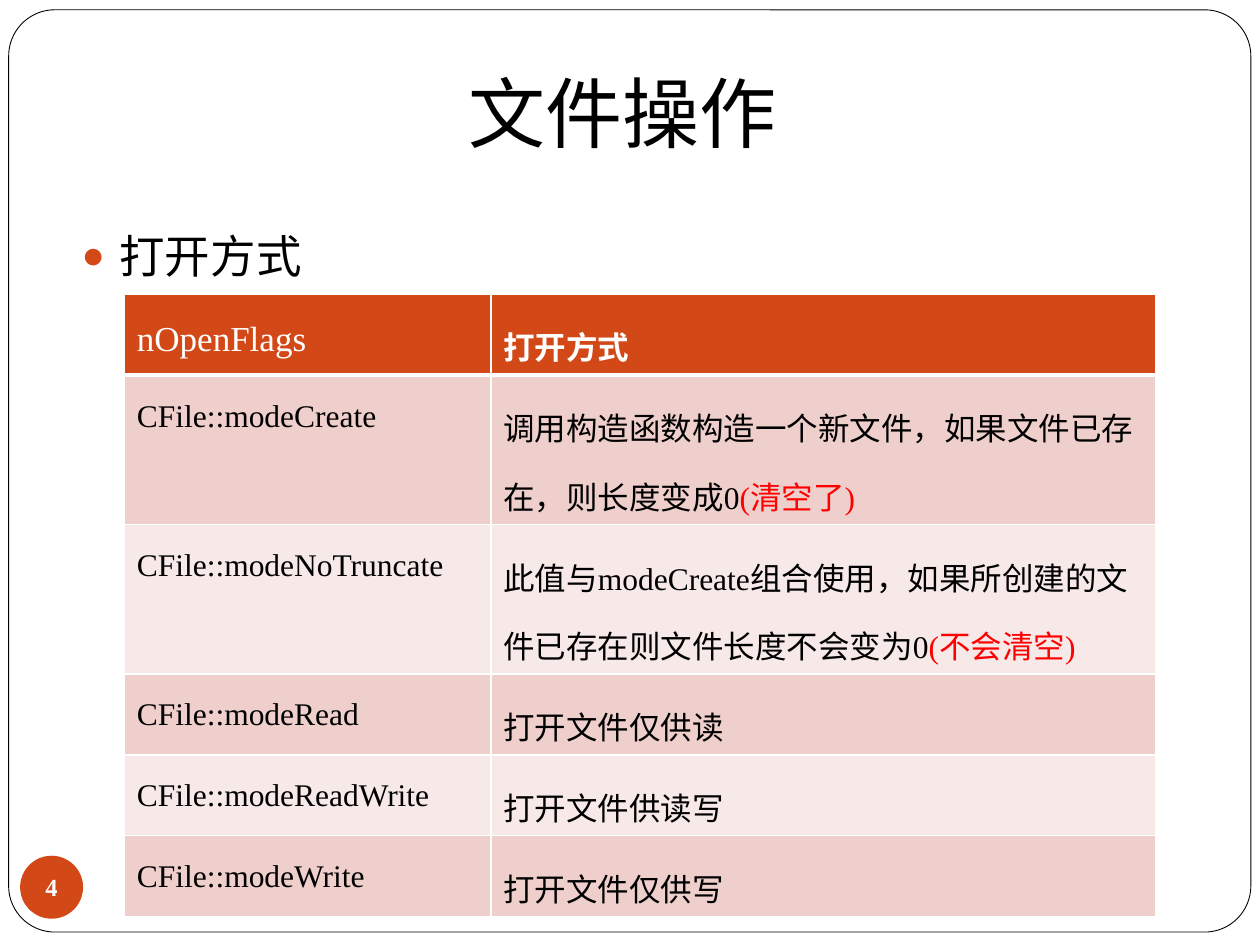
from lxml.etree import SubElement
from pptx import Presentation
from pptx.dml.color import RGBColor
from pptx.enum.shapes import MSO_SHAPE
from pptx.enum.text import MSO_ANCHOR, PP_ALIGN
from pptx.oxml import parse_xml
from pptx.oxml.ns import nsdecls, qn
from pptx.util import Pt

ACCENT, WHITE, BLACK, RED = "D34817", "FFFFFF", "000000", "FF0000"
SERIF, CHINESE = "Times New Roman", "Noto Sans CJK SC"


def color(value):
    return RGBColor.from_string(value)


def add_run(paragraph, text, size, latin, text_color, bold=False):
    run = paragraph.add_run()
    run.text = text
    for name, value in {"size": Pt(size), "name": latin, "bold": bold}.items():
        setattr(run.font, name, value)
    run.font.color.rgb = color(text_color)
    SubElement(run.font._element, qn("a:ea"), typeface=CHINESE)


presentation = Presentation()
presentation.slide_width, presentation.slide_height = Pt(720), Pt(540)
slide = presentation.slides.add_slide(presentation.slide_layouts[5])
shapes = slide.shapes

# Rounded frame around the slide
frame = shapes.add_shape(MSO_SHAPE.ROUNDED_RECTANGLE, Pt(5), Pt(5.6), Pt(709.8), Pt(527))
frame.adjustments[0] = 0.05
frame.shadow.inherit = False
frame.fill.solid()
frame.fill.fore_color.rgb = color(WHITE)
frame.line.color.rgb = color(BLACK)
frame.line.width = Pt(0.5)

# Bullet heading
body = shapes.add_textbox(Pt(39.6), Pt(111.2), Pt(663), Pt(357))
body.text_frame.word_wrap = True
paragraph = body.text_frame.paragraphs[0]
paragraph.line_spacing = 1.5
paragraph.space_before = Pt(5.8)
properties = paragraph._p.get_or_add_pPr()
properties.set("marL", str(Pt(21.6)))
properties.set("indent", str(Pt(-21.6)))
bullet_color = SubElement(properties, qn("a:buClr"))
SubElement(bullet_color, qn("a:srgbClr"), val=ACCENT)
SubElement(properties, qn("a:buSzPct"), val="85000")
SubElement(properties, qn("a:buFont"), typeface="Arial")
SubElement(properties, qn("a:buChar"), char="●")
add_run(paragraph, "打开方式", 26, CHINESE, BLACK)

# Page number badge
badge = shapes.add_shape(MSO_SHAPE.OVAL, Pt(11.5), Pt(489), Pt(36), Pt(36))
badge.shadow.inherit = False
badge.fill.solid()
badge.fill.fore_color.rgb = color(ACCENT)
badge.line.fill.background()
badge_format = {
    "margin_left": 0, "margin_right": 0, "margin_top": 0, "margin_bottom": 0,
    "word_wrap": False, "vertical_anchor": MSO_ANCHOR.MIDDLE,
}
for name, value in badge_format.items():
    setattr(badge.text_frame, name, value)
paragraph = badge.text_frame.paragraphs[0]
paragraph.alignment = PP_ALIGN.CENTER
add_run(paragraph, "4", 14, SERIF, WHITE, True)

# Table of open modes: flag, description, highlighted ending
rows = [
    ("nOpenFlags", "打开方式", ""),
    ("CFile::modeCreate",
     "调用构造函数构造一个新文件\uff0c如果文件已存在\uff0c则长度变成0", "(清空了)"),
    ("CFile::modeNoTruncate",
     "此值与modeCreate组合使用\uff0c如果所创建的文件已存在则文件长度不会变为0", "(不会清空)"),
    ("CFile::modeRead", "打开文件仅供读", ""),
    ("CFile::modeReadWrite", "打开文件供读写", ""),
    ("CFile::modeWrite", "打开文件仅供写", ""),
]
one_line, two_lines = 46.2, 85.4
heights = [two_lines if highlight else one_line for _, _, highlight in rows]
table = shapes.add_table(
    len(rows), 2, Pt(71), Pt(168.2), Pt(589.5), Pt(sum(heights))
).table
for column, width in zip(table.columns, (209.5, 380)):
    column.width = Pt(width)

for row_index, (flag, description, highlight) in enumerate(rows):
    table.rows[row_index].height = Pt(heights[row_index])
    header = row_index == 0
    fill = ACCENT if header else ("F7E9E8", "EFCFCC")[row_index % 2]
    text_color = WHITE if header else BLACK
    for column_index, text in enumerate((flag, description)):
        cell = table.cell(row_index, column_index)
        paragraph = cell.text_frame.paragraphs[0]
        paragraph.line_spacing = 1.5
        header_description = header and column_index == 1
        add_run(
            paragraph, text, 20 if header and column_index == 0 else 18,
            "Arial" if header_description else SERIF, text_color, header_description,
        )
        if column_index == 1 and highlight:
            add_run(paragraph, highlight, 18, SERIF, RED)
        # Borders go before the fill in the cell properties
        cell_properties = cell._tc.get_or_add_tcPr()
        for side in "LRTB":
            thick = (header and side == "B") or (row_index == 1 and side == "T")
            cell_properties.append(parse_xml(
                f'<a:ln{side} {nsdecls("a")} w="{Pt(3 if thick else 1)}"><a:solidFill>'
                f'<a:srgbClr val="{WHITE}"/></a:solidFill></a:ln{side}>'
            ))
        cell.fill.solid()
        cell.fill.fore_color.rgb = color(fill)

# Title, brought in front of the frame
title = shapes.title
title_place = {"left": Pt(235.5), "top": Pt(34), "width": Pt(241), "height": Pt(60.5)}
for name, value in title_place.items():
    setattr(title, name, value)
title.text_frame.vertical_anchor = MSO_ANCHOR.TOP
paragraph = title.text_frame.paragraphs[0]
paragraph.alignment = PP_ALIGN.CENTER
add_run(paragraph, "文件操作", 44, CHINESE, BLACK)
shapes._spTree.append(title._element)

presentation.save("out.pptx")
